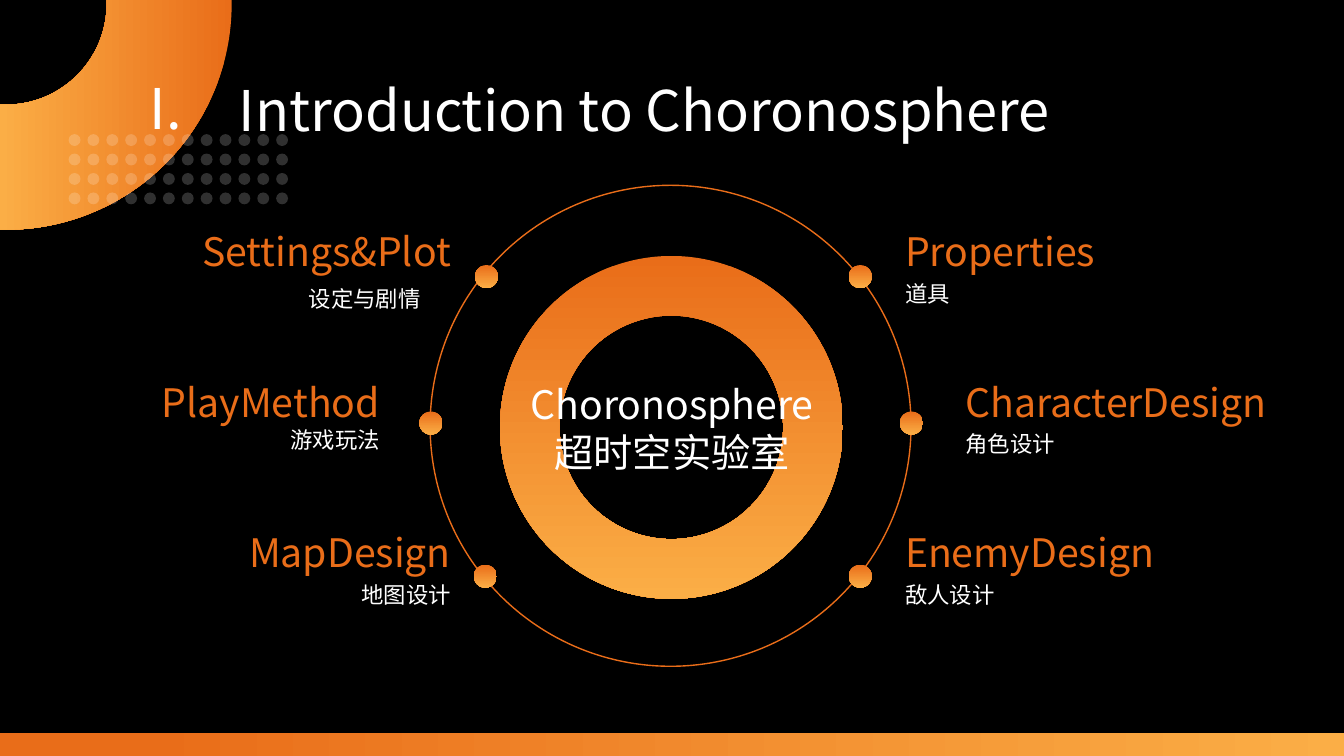
from math import cos, pi, sin

from lxml import etree
from pptx import Presentation
from pptx.dml.color import RGBColor
from pptx.enum.shapes import MSO_SHAPE as Shape
from pptx.enum.text import PP_ALIGN as Align
from pptx.oxml.ns import qn
from pptx.util import Cm, Pt

BLACK = RGBColor(0x00, 0x00, 0x00)
WHITE = RGBColor(0xFF, 0xFF, 0xFF)
ORANGE = RGBColor(0xE9, 0x6D, 0x19)
AMBER = RGBColor(0xFB, 0xAE, 0x46)
FONT = "Noto Sans CJK SC"

SLIDE_WIDTH, SLIDE_HEIGHT = 33.87, 19.05
DOWNWARD, LEFTWARD, RIGHTWARD = 270, 180, 0  # gradient directions
TITLE_WIDTH, SUBTITLE_WIDTH = 10.16, 7.11
TOPIC_TOP, TOPIC_PITCH = 5.61, 3.79

# Row, English, Chinese, text edge, Chinese edge, Chinese drop, node centre
LEFT_TOPICS = [
    (0, "Settings&Plot", "设定与剧情", 11.61, 10.85, 1.25, (12.26, 6.97)),
    (1, "PlayMethod", "游戏玩法", 9.82, 9.82, 1.02, (10.86, 10.66)),
    (2, "MapDesign", "地图设计", 11.61, 11.61, 1.12, (12.23, 14.52)),
]
RIGHT_TOPICS = [
    (0, "Properties", "道具", 22.56, 22.56, 1.12, (21.68, 6.97)),
    (1, "CharacterDesign", "角色设计", 24.08, 24.08, 1.12, (22.97, 10.66)),
    (2, "EnemyDesign", "敌人设计", 22.56, 22.56, 1.12, (21.68, 14.52)),
]


def fill_gradient(shape, angle, first_position=0.0):
    shape.fill.gradient()
    shape.fill.gradient_angle = angle
    first, last = shape.fill.gradient_stops
    first.color.rgb, first.position = ORANGE, first_position
    last.color.rgb, last.position = AMBER, 1.0
    shape.line.fill.background()
    shape.shadow.inherit = False


def add_round(shapes, kind, center, diameter):
    x, y = center
    shape = shapes.add_shape(kind, Cm(x - diameter / 2), Cm(y - diameter / 2),
                             Cm(diameter), Cm(diameter))
    shape.shadow.inherit = False
    return shape


def add_text(slide, lines, left, top, width, height, size,
             color=WHITE, align=Align.LEFT, spacing=None):
    box = slide.shapes.add_textbox(Cm(left), Cm(top), Cm(width), Cm(height))
    frame = box.text_frame
    frame.word_wrap = True
    for index, line in enumerate(lines):
        para = frame.add_paragraph() if index else frame.paragraphs[0]
        para.alignment = align
        para.line_spacing = spacing
        span = para.add_run()
        span.text = line
        span.font.size = Pt(size)
        span.font.name = FONT
        span.font.color.rgb = color
        east_asian = etree.SubElement(span.font._element, qn("a:ea"))
        east_asian.set("typeface", FONT)


def add_corner_arc(slide):
    center_x, center_y, outer, inner = 0.15, 0.1, 5.69, 2.54
    quarter = [step * pi / 96 for step in range(49)]

    def arc(radius, angles):
        return [(Cm(center_x + radius * cos(a)), Cm(center_y + radius * sin(a)))
                for a in angles]

    points = arc(outer, quarter)
    points += [(0, Cm(center_y + outer)), (0, Cm(center_y + inner))]
    points += arc(inner, reversed(quarter))
    points += [(Cm(center_x + inner), 0)]
    builder = slide.shapes.build_freeform(Cm(center_x + outer), 0)
    builder.add_line_segments(points, close=True)
    fill_gradient(builder.convert_to_shape(), LEFTWARD)


def add_bottom_bar(slide):
    height = 0.58
    bar = slide.shapes.add_shape(Shape.RECTANGLE, 0, Cm(SLIDE_HEIGHT - height),
                                 Cm(SLIDE_WIDTH), Cm(height))
    fill_gradient(bar, RIGHTWARD, 0.11)


def add_dot_grid(slide):
    group = slide.shapes.add_group_shape()
    for row in range(4):
        for column in range(12):
            center = (1.88 + column * 5.23 / 11, 3.53 + row * 0.49)
            dot = add_round(group.shapes, Shape.OVAL, center, 0.3)
            dot.fill.solid()
            dot.fill.fore_color.rgb = WHITE
            color = dot.fill._xPr.find(".//" + qn("a:srgbClr"))
            etree.SubElement(color, qn("a:alpha")).set("val", "19000")
            dot.line.fill.background()


def add_rings(slide):
    donut = add_round(slide.shapes, Shape.DONUT, (16.92, 10.77), 8.64)
    donut.adjustments[0] = 0.174
    fill_gradient(donut, DOWNWARD)
    orbit = add_round(slide.shapes, Shape.OVAL, (16.9, 10.73), 12.12)
    orbit.fill.background()
    orbit.line.color.rgb = ORANGE
    orbit.line.width = Pt(1)


def add_topic(slide, topic, align):
    row, english, chinese, edge, chinese_edge, drop, node_center = topic
    top = TOPIC_TOP + row * TOPIC_PITCH
    on_left = align == Align.RIGHT
    add_text(slide, [english], edge - TITLE_WIDTH * on_left, top,
             TITLE_WIDTH, 1.45, 28, ORANGE, align)
    add_text(slide, [chinese], chinese_edge - SUBTITLE_WIDTH * on_left,
             top + drop, SUBTITLE_WIDTH, 1.07, 16, WHITE, align, 1.3)
    node = add_round(slide.shapes, Shape.OVAL, node_center, 0.58)
    fill_gradient(node, DOWNWARD)


def main():
    deck = Presentation()
    deck.slide_width, deck.slide_height = Cm(SLIDE_WIDTH), Cm(SLIDE_HEIGHT)
    page = deck.slides.add_slide(deck.slide_layouts[6])
    page.background.fill.solid()
    page.background.fill.fore_color.rgb = BLACK

    # Decoration
    add_corner_arc(page)
    add_bottom_bar(page)
    add_dot_grid(page)

    # Rings with the topics around them
    add_rings(page)
    for topic in LEFT_TOPICS:
        add_topic(page, topic, Align.RIGHT)
    for topic in RIGHT_TOPICS:
        add_topic(page, topic, Align.LEFT)

    # Heading and centre
    add_text(page, ["Introduction to Choronosphere"],
             5.77, 1.78, 26.04, 1.96, 40)
    add_text(page, ["I."], 3.53, 1.73, 2.92, 1.96, 40)
    add_text(page, ["Choronosphere", "超时空实验室"],
             11.86, 9.47, 10.16, 2.64, 28, align=Align.CENTER)

    deck.save("out.pptx")


if __name__ == "__main__":
    main()
